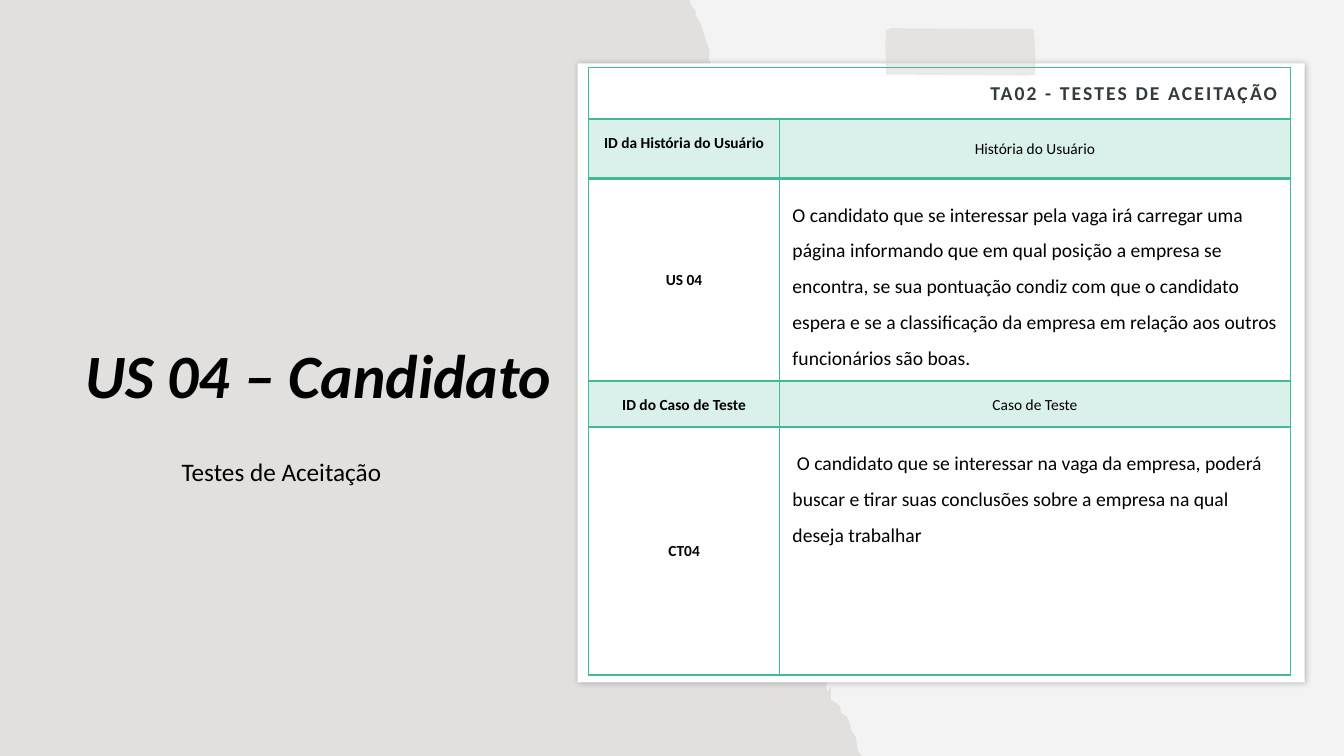
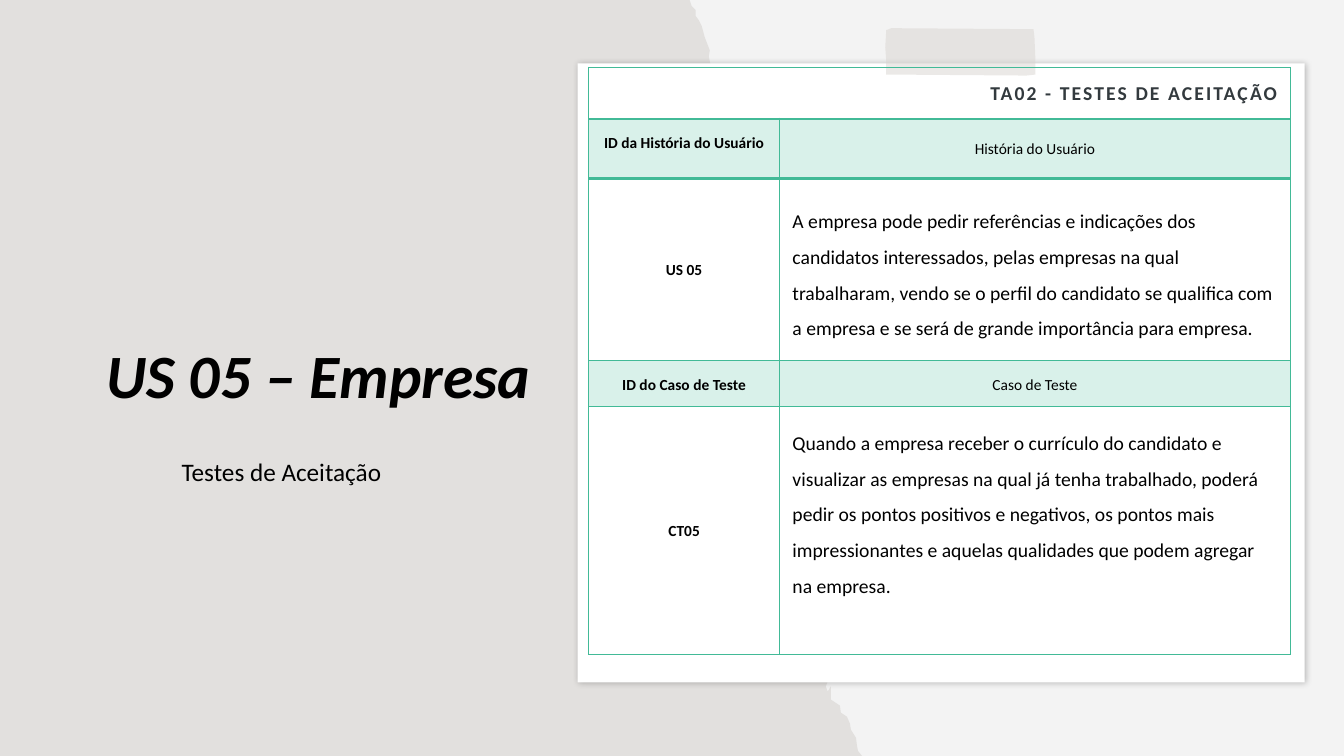
from dataclasses import dataclass

from lxml.etree import SubElement
from pptx import Presentation
from pptx.dml.color import RGBColor
from pptx.enum.shapes import MSO_SHAPE
from pptx.enum.text import MSO_ANCHOR as Anchor, PP_ALIGN as Align
from pptx.oxml import parse_xml
from pptx.oxml.ns import nsdecls, qn
from pptx.util import Inches, Pt

TABLE_TITLE = "TA02 - TESTES DE ACEITAÇÃO"
SUBTITLE = "Testes de Aceitação "
STORY_HEADS = ("ID da História do Usuário", "História do Usuário")
CASE_HEADS = ("ID do Caso de Teste", "Caso de Teste")

SLIDES = [
    dict(
        title="US 04 – Candidato",
        story=("US 04", "O candidato que se interessar pela vaga irá carregar uma página "
               "informando que em qual posição a empresa se encontra, se sua pontuação "
               "condiz com que o candidato espera e se a classificação da empresa em "
               "relação aos outros funcionários são boas."),
        case=("CT04", "\u00a0O candidato que se interessar na vaga da empresa, poderá buscar "
              "e tirar suas conclusões sobre a empresa na qual deseja trabalhar"),
    ),
    dict(
        title="US 05 – Empresa",
        story=("US 05", "A empresa pode pedir referências e indicações dos candidatos "
               "interessados, pelas empresas na qual trabalharam, vendo se o perfil do "
               "candidato se qualifica com a empresa e se será de grande importância "
               "para empresa."),
        case=("CT05", "Quando a empresa receber o currículo do candidato e visualizar as "
              "empresas na qual já tenha trabalhado, poderá pedir os pontos positivos e "
              "negativos, os pontos mais impressionantes e aquelas qualidades que podem "
              "agregar na empresa."),
    ),
]


@dataclass(frozen=True)
class Theme:
    """Colours, font and type sizes shared by the slides."""
    font: str = "Calibri"
    back: str = "F3F3F3"
    paper: str = "82766A"
    card: str = "FFFFFF"
    tape: str = "D9D4D0"
    accent: str = "42BA97"
    heading: str = "333A3E"
    ink: str = "000000"
    title: int = 44
    subtitle: int = 18
    body: int = 14
    label: int = 11


T = Theme()

# Boxes are left, top, width, height in inches.
SLIDE_W, SLIDE_H = 13.33, 7.5
TITLE_BOX = (0.57, 1.08, 5.18, 3.06)
SUBTITLE_BOX = (0.92, 4.51, 3.8, 1.24)
CARD_BOX = (5.73, 0.63, 7.21, 6.14)
TABLE_AT = (5.84, 0.67)
COLS = (1.89, 5.07)
ROWS = (0.48, 0.59, 1.81, 0.41, 2.46)
CELL_INSET = 0.13

# Outlines are points in hundredths of an inch.
TORN_EDGE = [
    (684, 0), (686, 6), (690, 10), (690, 16), (693, 20), (696, 26), (699, 37), (704, 50),
    (703, 56), (705, 66), (703, 78), (711, 85), (709, 97), (705, 104), (703, 115),
    (708, 127), (708, 137), (712, 147), (713, 155), (716, 163), (715, 170), (716, 184),
    (718, 198), (724, 217), (726, 226), (726, 232), (725, 247), (726, 275), (726, 288),
    (724, 304), (728, 331), (729, 372), (729, 405), (731, 419), (734, 438), (743, 473),
    (748, 481), (749, 488), (754, 507), (773, 530), (788, 543), (799, 567), (796, 578),
    (806, 590), (812, 603), (823, 613), (820, 625), (821, 630), (825, 645), (825, 650),
    (826, 662), (824, 669), (819, 681), (821, 686), (824, 681), (824, 694), (833, 700),
    (834, 707), (840, 711), (843, 718), (844, 724), (849, 732), (850, 740), (851, 745),
    (855, 750),
]
PAPER = [(0, 0), *TORN_EDGE, (0, 750)]
TAPE = [(879, 30), (884, 28), (1025, 29), (1026, 37), (1027, 61), (1027, 74), (1018, 75),
        (879, 74), (879, 68), (879, 60), (878, 47)]


def inches(box):
    """Turn a box of inches into lengths."""
    return [Inches(v) for v in box]


def paint(fill, color, alpha=100):
    """Fill with a solid colour, see-through when alpha is under 100."""
    fill.solid()
    fill.fore_color.rgb = RGBColor.from_string(color)
    if alpha < 100:
        clr = fill._xPr.find(qn("a:solidFill"))[0]
        SubElement(clr, qn("a:alpha"), val=str(alpha * 1000))


def plain(shape, color, alpha=100):
    """Give a shape a flat fill with no line or shadow."""
    paint(shape.fill, color, alpha)
    shape.line.fill.background()
    shape.shadow.inherit = False
    return shape


def outline(s, points, color, alpha):
    """Draw a closed outline through the points."""
    builder = s.shapes.build_freeform(*points[0], scale=Inches(0.01))
    builder.add_line_segments(points[1:], close=True)
    return plain(builder.convert_to_shape(), color, alpha)


def write(tf, text, size, color=T.ink, align=Align.CENTER, spacing=0.9, after=0,
          bold=False, italic=False, tracking=0):
    """Write one formatted paragraph."""
    p = tf.paragraphs[0]
    p.text, p.alignment, p.line_spacing = text, align, spacing
    p.space_before, p.space_after = Pt(0), Pt(after)
    font = p.font
    font.name, font.size, font.bold, font.italic = T.font, Pt(size), bold, italic
    font.color.rgb = RGBColor.from_string(color)
    if tracking:
        p._p.pPr.find(qn("a:defRPr")).set("spc", str(int(tracking * 100)))


def add_card(s):
    """Add the white card with its soft shadow."""
    card = plain(s.shapes.add_shape(MSO_SHAPE.RECTANGLE, *inches(CARD_BOX)), T.card)
    effects = card.element.spPr.find(qn("a:effectLst"))
    effects.append(parse_xml(
        f'<a:outerShdw {nsdecls("a")} blurRad="{Pt(4)}" dist="{Pt(1)}" dir="3000000" '
        f'algn="tl" rotWithShape="0"><a:srgbClr val="{T.ink}"><a:alpha val="24000"/>'
        '</a:srgbClr></a:outerShdw>'))


def set_borders(cell, bottom=1, top=1):
    """Draw the four borders of a cell."""
    tc_pr = cell._tc.get_or_add_tcPr()
    for i, (side, width) in enumerate(dict(L=1, R=1, T=top, B=bottom).items()):
        tc_pr.insert(i, parse_xml(
            f'<a:ln{side} {nsdecls("a")} w="{Pt(width)}"><a:solidFill>'
            f'<a:srgbClr val="{T.accent}"/></a:solidFill></a:ln{side}>'))


def add_test_table(s, story, case):
    """Add the acceptance test table: a title row, then heads over entries."""
    shape = s.shapes.add_table(len(ROWS), len(COLS), *inches(TABLE_AT),
                               Inches(sum(COLS)), Inches(sum(ROWS)))
    table = shape.table
    table.first_row = table.horz_banding = False
    for col, width in zip(table.columns, COLS):
        col.width = Inches(width)
    for row, height in zip(table.rows, ROWS):
        row.height = Inches(height)

    table.cell(0, 0).merge(table.cell(0, 1))
    rows = [(TABLE_TITLE, ""), STORY_HEADS, story, CASE_HEADS, case]
    top_anchored = {(0, 0), (1, 0), (3, 0), (4, 1)}
    for r, texts in enumerate(rows):
        for c, text in enumerate(texts):
            cell = table.cell(r, c)
            cell.margin_left = cell.margin_right = Inches(CELL_INSET)
            cell.margin_top = cell.margin_bottom = Inches(CELL_INSET)
            cell.vertical_anchor = Anchor.TOP if (r, c) in top_anchored else Anchor.MIDDLE
            if r in (1, 3):
                paint(cell.fill, T.accent, 20)
            else:
                cell.fill.background()
            set_borders(cell, bottom=2 if r < 2 else 1, top=2 if r in (1, 2) else 1)
            if r == 0 and c == 0:
                write(cell.text_frame, text, T.body, T.heading, Align.RIGHT, 1.07, 8,
                      bold=True, tracking=1.5)
            elif r in (2, 4) and c == 1:
                write(cell.text_frame, text, T.body, align=Align.LEFT, spacing=1.5, after=8)
            elif text:
                write(cell.text_frame, text, T.label, spacing=1.07, after=8, bold=c == 0)


def add_slide(prs, title, story, case):
    """Build one slide: torn paper, headings, taped card and table."""
    s = prs.slides.add_slide(prs.slide_layouts[5])
    head = s.shapes.title
    head.left, head.top, head.width, head.height = inches(TITLE_BOX)
    head.text_frame.vertical_anchor = Anchor.BOTTOM
    write(head.text_frame, title, T.title, bold=True, italic=True)
    head.element.addprevious(outline(s, PAPER, T.paper, 15).element)

    sub = s.shapes.add_textbox(*inches(SUBTITLE_BOX))
    sub.text_frame.word_wrap = True
    write(sub.text_frame, SUBTITLE, T.subtitle)

    add_card(s)
    outline(s, TAPE, T.tape, 50)
    add_test_table(s, story, case)


prs = Presentation()
prs.slide_width, prs.slide_height = Inches(SLIDE_W), Inches(SLIDE_H)
paint(prs.slide_master.background.fill, T.back)
for content in SLIDES:
    add_slide(prs, **content)
prs.save("out.pptx")
